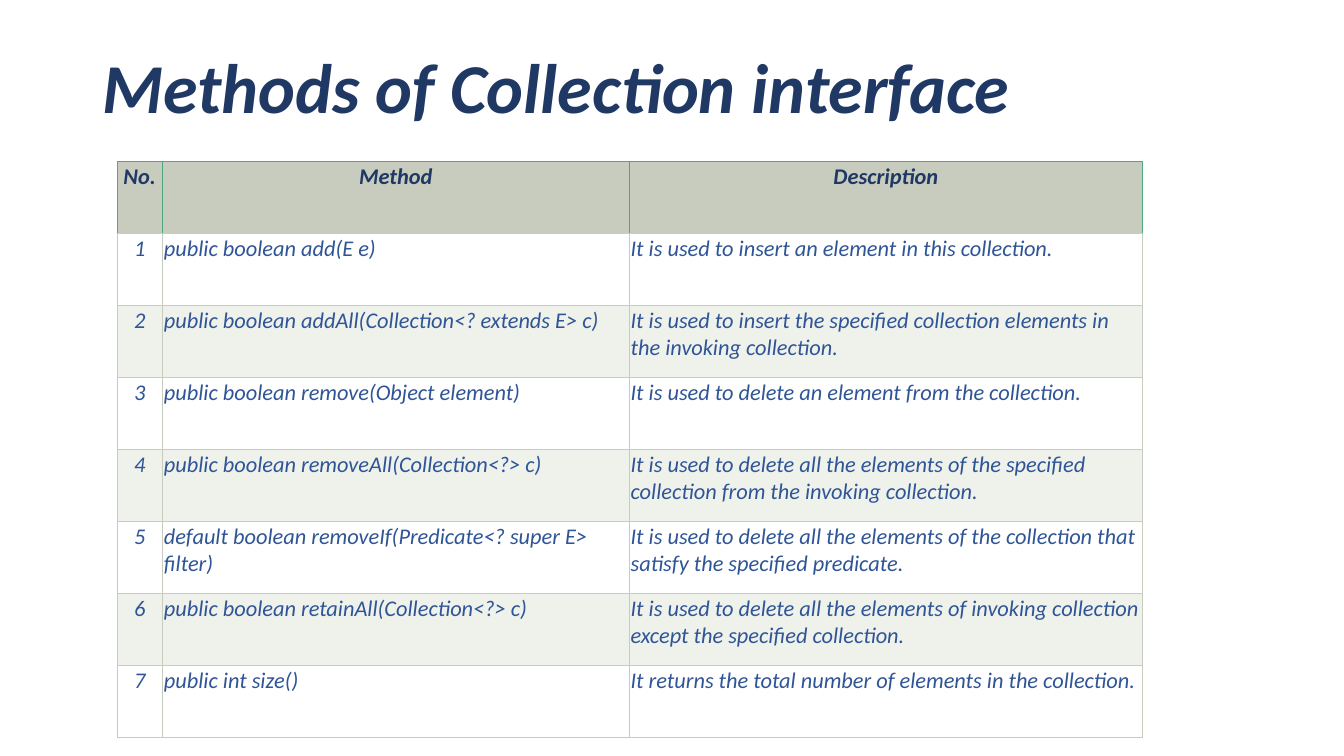
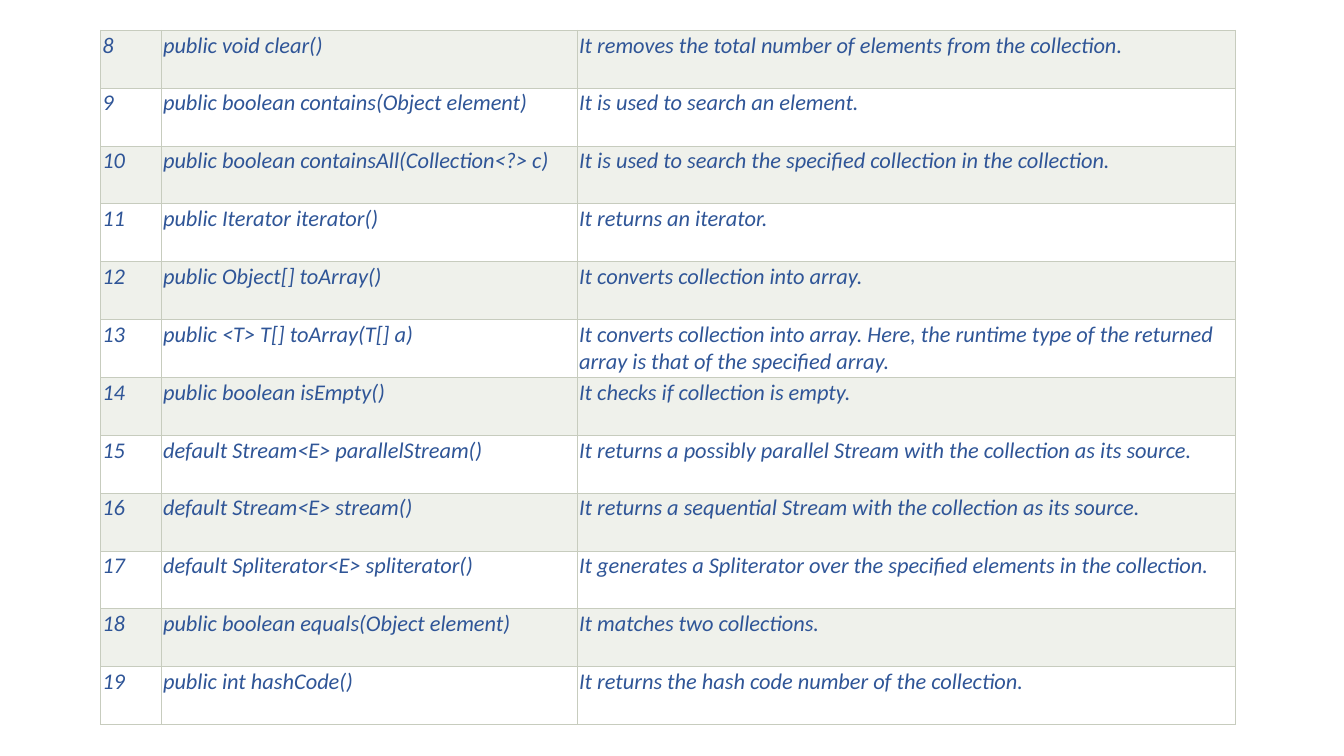
from lxml.etree import SubElement
from pptx import Presentation
from pptx.dml.color import RGBColor
from pptx.enum.text import MSO_ANCHOR, PP_ALIGN
from pptx.oxml.ns import qn
from pptx.util import Pt

NAVY = RGBColor(0x20, 0x38, 0x64)
BLUE = RGBColor(0x2F, 0x55, 0x97)
SAGE = RGBColor(0xC7, 0xCC, 0xBE)
PALE_SAGE = RGBColor(0xEF, 0xF1, 0xEB)
GREEN = RGBColor(0x50, 0xA9, 0x7C)
WHITE = RGBColor(0xFF, 0xFF, 0xFF)

HEADINGS = ("No.", "Method", "Description")
BASIC_METHODS = [
    ("public boolean add(E e)", "It is used to insert an element in this collection."),
    ("public boolean addAll(Collection<? extends E> c)",
     "It is used to insert the specified collection elements in the invoking collection."),
    ("public boolean remove(Object element)", "It is used to delete an element from the collection."),
    ("public boolean removeAll(Collection<?> c)",
     "It is used to delete all the elements of the specified collection from the invoking collection."),
    ("default boolean removeIf(Predicate<? super E> filter)",
     "It is used to delete all the elements of the collection that satisfy the specified predicate."),
    ("public boolean retainAll(Collection<?> c)",
     "It is used to delete all the elements of invoking collection except the specified collection."),
    ("public int size()", "It returns the total number of elements in the collection."),
]
FURTHER_METHODS = [
    ("public void clear()", "It removes the total number of elements from the collection."),
    ("public boolean contains(Object element)", "It is used to search an element."),
    ("public boolean containsAll(Collection<?> c)",
     "It is used to search the specified collection in the collection."),
    ("public Iterator iterator()", "It returns an iterator."),
    ("public Object[] toArray()", "It converts collection into array."),
    ("public <T> T[] toArray(T[] a)",
     "It converts collection into array. Here, the runtime type of the returned array "
     "is that of the specified array."),
    ("public boolean isEmpty()", "It checks if collection is empty."),
    ("default Stream<E> parallelStream()",
     "It returns a possibly parallel Stream with the collection as its source."),
    ("default Stream<E> stream()", "It returns a sequential Stream with the collection as its source."),
    ("default Spliterator<E> spliterator()",
     "It generates a Spliterator over the specified elements in the collection."),
    ("public boolean equals(Object element)", "It matches two collections."),
    ("public int hashCode()", "It returns the hash code number of the collection."),
]


class Deck:
    """Holds the shared style and the slide being filled."""

    font_name = "Calibri"
    title_size = 50
    cell_size = 16
    cell_inset = Pt(1.1)
    border_width = Pt(0.75)

    def __init__(self):
        self.presentation = Presentation()
        self.presentation.slide_width = Pt(960)
        self.presentation.slide_height = Pt(540)
        self.slide = None

    def add_slide(self):
        self.slide = self.presentation.slides.add_slide(self.presentation.slide_layouts[6])

    def add_run(self, paragraph, text, size, color, bold=False):
        run = paragraph.add_run()
        run.text = text
        font = run.font
        font.name, font.size, font.bold, font.italic = self.font_name, Pt(size), bold, True
        font.color.rgb = color

    def add_title(self, text):
        shape = self.slide.shapes.add_textbox(Pt(66), Pt(13), Pt(828), Pt(104.4))
        frame = shape.text_frame
        frame.word_wrap = True
        frame.vertical_anchor = MSO_ANCHOR.MIDDLE
        paragraph = frame.paragraphs[0]
        paragraph.line_spacing = 0.9
        self.add_run(paragraph, text, self.title_size, NAVY, bold=True)

    def add_borders(self, cell, side_color):
        properties = cell._tc.get_or_add_tcPr()
        for side in "LRTB":
            color = SAGE if side == "B" else side_color
            line = SubElement(properties, qn(f"a:ln{side}"), w=str(self.border_width))
            SubElement(SubElement(line, qn("a:solidFill")), qn("a:srgbClr"), val=str(color))

    def fill_cell(self, cell, text, fill, color, border, centered, bold):
        self.add_borders(cell, border)
        cell.fill.solid()
        cell.fill.fore_color.rgb = fill
        cell.margin_left = cell.margin_right = self.cell_inset
        cell.margin_top = cell.margin_bottom = self.cell_inset
        paragraph = cell.text_frame.paragraphs[0]
        paragraph.alignment = PP_ALIGN.CENTER if centered else PP_ALIGN.LEFT
        self.add_run(paragraph, text, self.cell_size, color, bold)

    def add_method_table(self, left, top, widths, row_height, methods,
                         first_number, headings=None, center_numbers=False):
        rows = [(str(number), *method) for number, method in enumerate(methods, first_number)]
        if headings:
            rows.insert(0, headings)
        table = self.slide.shapes.add_table(
            len(rows), len(widths), Pt(left), Pt(top),
            Pt(sum(widths)), Pt(row_height * len(rows))).table
        table.first_row = table.horz_banding = False
        for column, width in zip(table.columns, widths):
            column.width = Pt(width)
        for row, texts in zip(table.rows, rows):
            row.height = Pt(row_height)
            heading = texts is headings
            if heading:
                fill, color, border = SAGE, NAVY, GREEN
            else:
                fill = WHITE if int(texts[0]) % 2 else PALE_SAGE
                color, border = BLUE, SAGE
            for index, (cell, text) in enumerate(zip(row.cells, texts)):
                centered = heading or (center_numbers and index == 0)
                self.fill_cell(cell, text, fill, color, border, centered, heading)

    def save(self):
        self.presentation.save("out.pptx")


def main():
    deck = Deck()
    deck.add_slide()
    deck.add_title("Methods of Collection interface")
    deck.add_method_table(83.6, 115.6, (32.4, 333.4, 366.8), 51.4, BASIC_METHODS,
                          first_number=1, headings=HEADINGS, center_numbers=True)
    deck.add_slide()
    deck.add_method_table(72, 21.6, (43.4, 297.2, 470), 41.35, FURTHER_METHODS,
                          first_number=len(BASIC_METHODS) + 1)
    deck.save()


if __name__ == "__main__":
    main()
